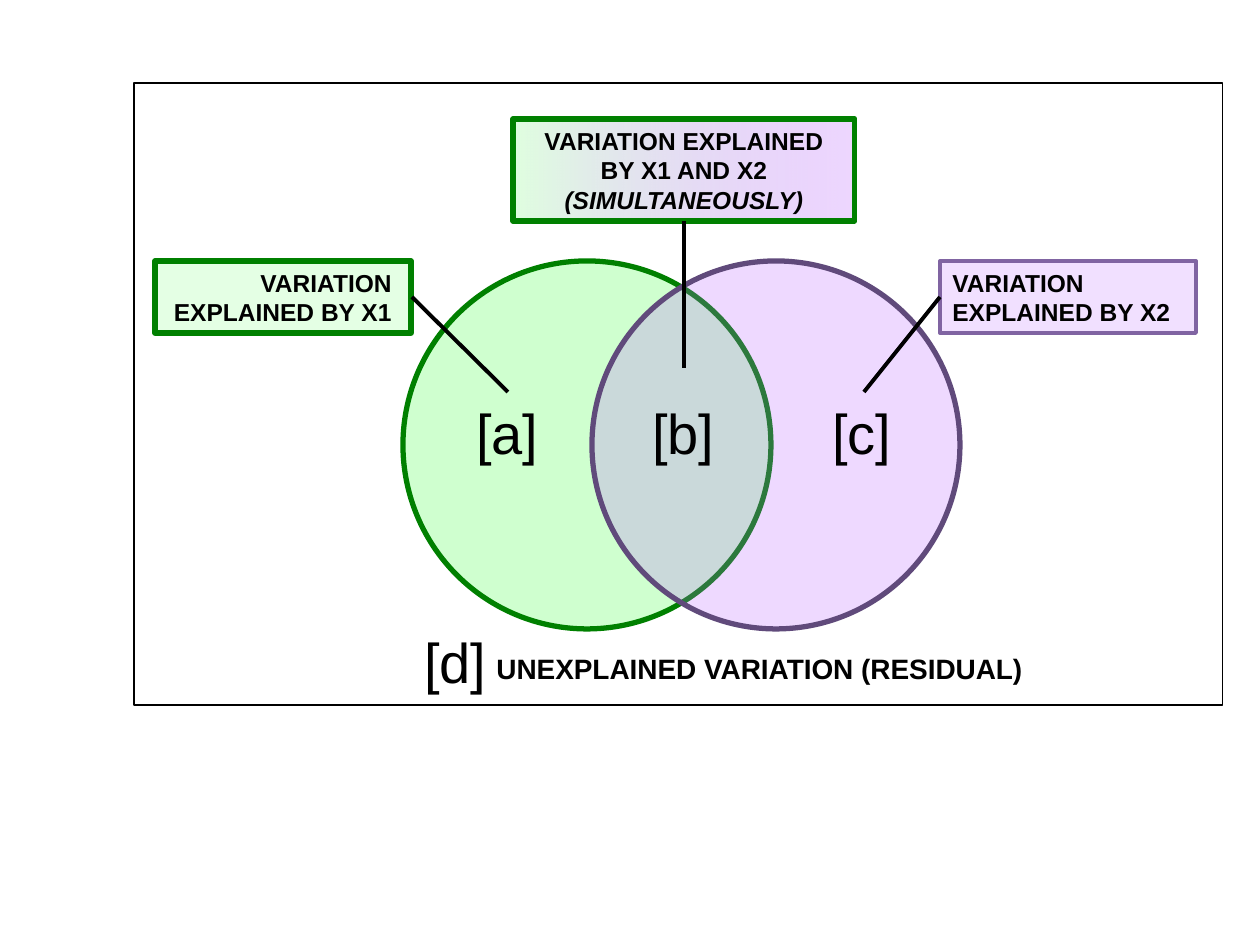
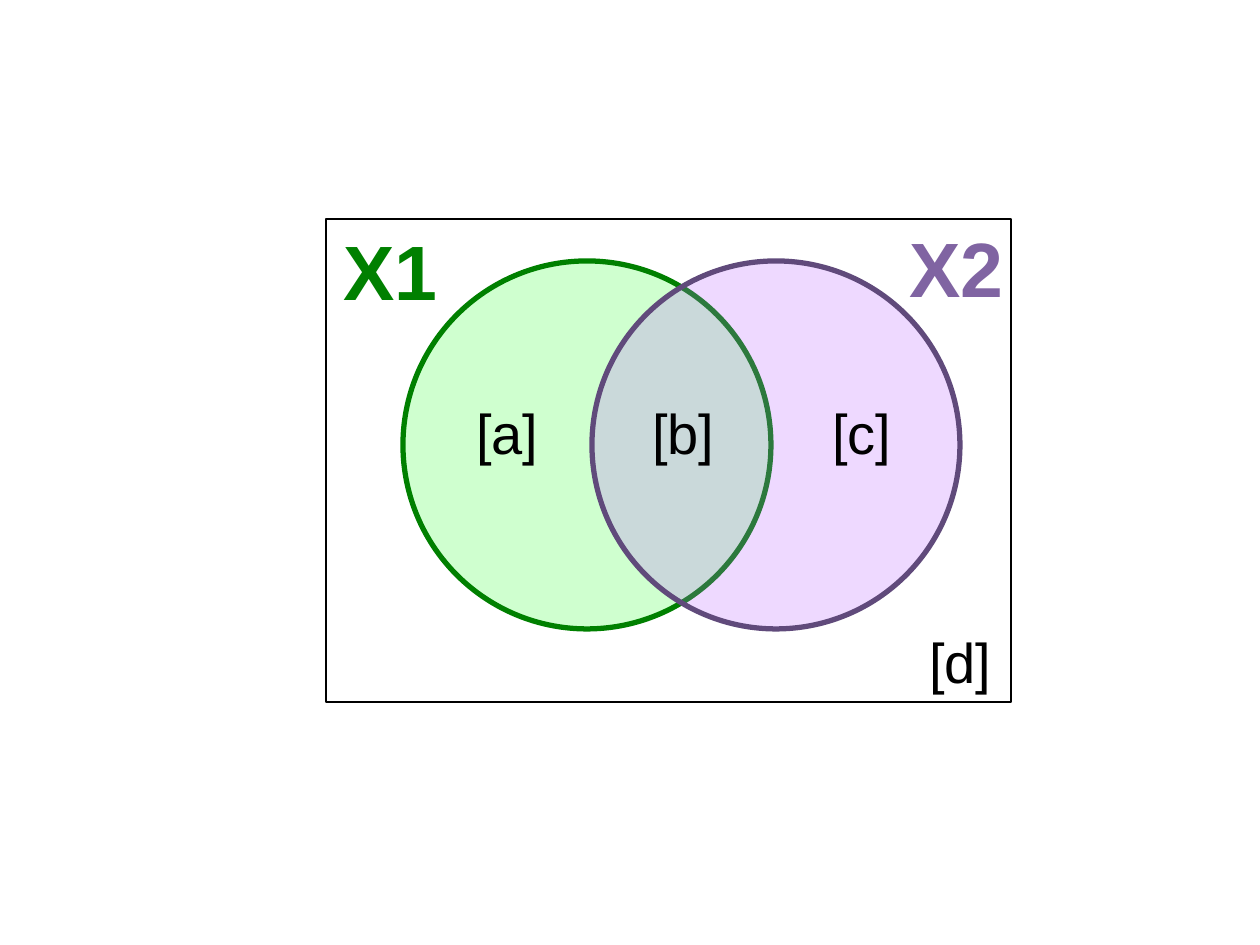
from lxml.etree import SubElement
from pptx import Presentation
from pptx.dml.color import RGBColor
from pptx.enum.shapes import MSO_CONNECTOR as Connector, MSO_SHAPE as Preset
from pptx.enum.text import MSO_ANCHOR as Anchor, MSO_AUTO_SIZE as AutoSize, PP_ALIGN as Align
from pptx.oxml.ns import qn
from pptx.util import Emu, Pt

SCALE = 914400 // 126
FONT = "Arial"
BLACK, GREEN, PURPLE, DARK_PURPLE = "000000", "008000", "8064A2", "604A7B"
PALE_GREEN, VIOLET = "CCFFCC", "BC64FF"

CIRCLE_TOP, CIRCLE_SIZE = 261, 368
GREEN_LEFT, PURPLE_LEFT = 403, 592
LABEL_TOP, RESIDUAL_TOP = 392, 621
LABEL_LEFTS = {"[a]": 464, "[b]": 640, "[c]": 820}
CALLOUT_WIDTH, CALLOUT_HEIGHT = 256, 72


def px(*lengths):
    """Turn pixels into EMU."""
    return [Emu(length * SCALE) for length in lengths]


def color(code):
    """Turn a hex string into a colour."""
    return RGBColor.from_string(code)


def set_alpha(shape, percents):
    """Give each colour of the fill its opacity in percent."""
    for node, percent in zip(shape.element.spPr.iter(qn("a:srgbClr")), percents):
        SubElement(node, qn("a:alpha"), val=str(percent * 1000))


def add_outlined(page, preset, place, line, weight, *tints):
    """Add a shape with no tint, one tint or a left-to-right gradient of two."""
    shape = page.shapes.add_shape(preset, *px(*place))
    shape.shadow.inherit = False
    if not tints:
        shape.fill.background()
    elif len(tints) == 1:
        shape.fill.solid()
        shape.fill.fore_color.rgb = color(tints[0][0])
    else:
        shape.fill.gradient()
        shape.fill.gradient_angle = 0
        for stop, (code, _) in zip(shape.fill.gradient_stops, tints):
            stop.color.rgb = color(code)
    set_alpha(shape, [opacity for _, opacity in tints])
    shape.line.color.rgb = color(line)
    shape.line.width = Pt(weight)
    return shape


def format_span(span, size, code=BLACK, bold=False):
    """Set the font of a run."""
    span.font.name = FONT
    span.font.size = Pt(size)
    span.font.bold = bold
    span.font.color.rgb = color(code)


def add_text(page, place, text, size, code=BLACK, bold=False, wrap=False):
    """Add a one-line text box."""
    box = page.shapes.add_textbox(*px(*place))
    frame = box.text_frame
    frame.word_wrap = wrap
    frame.auto_size = AutoSize.SHAPE_TO_FIT_TEXT
    frame.text = text
    format_span(frame.paragraphs[0].runs[0], size, code, bold)


def add_callout(page, place, text, align, line, weight, *tints):
    """Add a box that explains a region and return its paragraph."""
    box = add_outlined(page, Preset.RECTANGLE, place, line, weight, *tints)
    frame = box.text_frame
    frame.word_wrap = True
    frame.vertical_anchor = Anchor.MIDDLE
    frame.text = text
    para = frame.paragraphs[0]
    para.alignment = align
    for span in para.runs:
        format_span(span, 14, bold=True)
    return para


def add_pointer(page, *ends):
    """Add a plain black line from a callout to its region."""
    line = page.shapes.add_connector(Connector.STRAIGHT, *px(*ends))
    line.line.color.rgb = color(BLACK)
    line.line.width = Pt(2.25)
    SubElement(line.element.spPr, qn("a:effectLst"))


def add_venn(deck, frame, residual_left):
    """Add a slide with the framed circles and their region labels."""
    page = deck.slides.add_slide(deck.slide_layouts[6])
    for left, line, tint in ((GREEN_LEFT, GREEN, (PALE_GREEN, 94)),
                             (PURPLE_LEFT, DARK_PURPLE, (VIOLET, 24))):
        add_outlined(page, Preset.OVAL, (left, CIRCLE_TOP, CIRCLE_SIZE, CIRCLE_SIZE),
                     line, 3, tint)
    add_outlined(page, Preset.RECTANGLE, frame, BLACK, 0.75)
    for text, left in LABEL_LEFTS.items():
        add_text(page, (left, LABEL_TOP, 88, 81), text, 32)
    add_text(page, (residual_left, RESIDUAL_TOP, 88, 81), "[d]", 32)
    return page


def add_explained_slide(deck):
    """Build the diagram whose regions are explained by callouts."""
    page = add_venn(deck, (134, 83, 1089, 622), 412)
    size = (CALLOUT_WIDTH, CALLOUT_HEIGHT)
    add_callout(page, (940, CIRCLE_TOP, *size), "VARIATION \vEXPLAINED BY X2 ",
                Align.LEFT, PURPLE, 2.25, (VIOLET, 20))
    add_callout(page, (155, CIRCLE_TOP, *size), "VARIATION \vEXPLAINED BY X1 ",
                Align.RIGHT, GREEN, 3, (PALE_GREEN, 53))
    para = add_callout(page, (513, 119, 342, 102), "VARIATION EXPLAINED BY X1 AND X2 ",
                       Align.CENTER, GREEN, 3, (PALE_GREEN, 61), (VIOLET, 26))
    span = para.add_run()
    span.text = "(SIMULTANEOUSLY)"
    format_span(span, 14, bold=True)
    span.font.italic = True
    middle = CIRCLE_TOP + CALLOUT_HEIGHT // 2
    add_pointer(page, 684, 221, 684, 368)
    add_pointer(page, 940, middle, 864, LABEL_TOP)
    add_pointer(page, 412, middle, 508, LABEL_TOP)
    add_text(page, (484, 645, 641, 47), "UNEXPLAINED VARIATION (RESIDUAL)", 16,
             bold=True, wrap=True)


def add_named_slide(deck):
    """Build the diagram whose circles carry their names."""
    page = add_venn(deck, (326, 219, 685, 483), 917)
    add_text(page, (331, 217, 121, 106), "X1", 44, GREEN, bold=True)
    add_text(page, (897, 214, 121, 106), "X2", 44, PURPLE, bold=True)


def main():
    """Build and save the deck."""
    deck = Presentation()
    deck.slide_width, deck.slide_height = px(1260, 945)
    add_explained_slide(deck)
    add_named_slide(deck)
    deck.save("out.pptx")


main()
